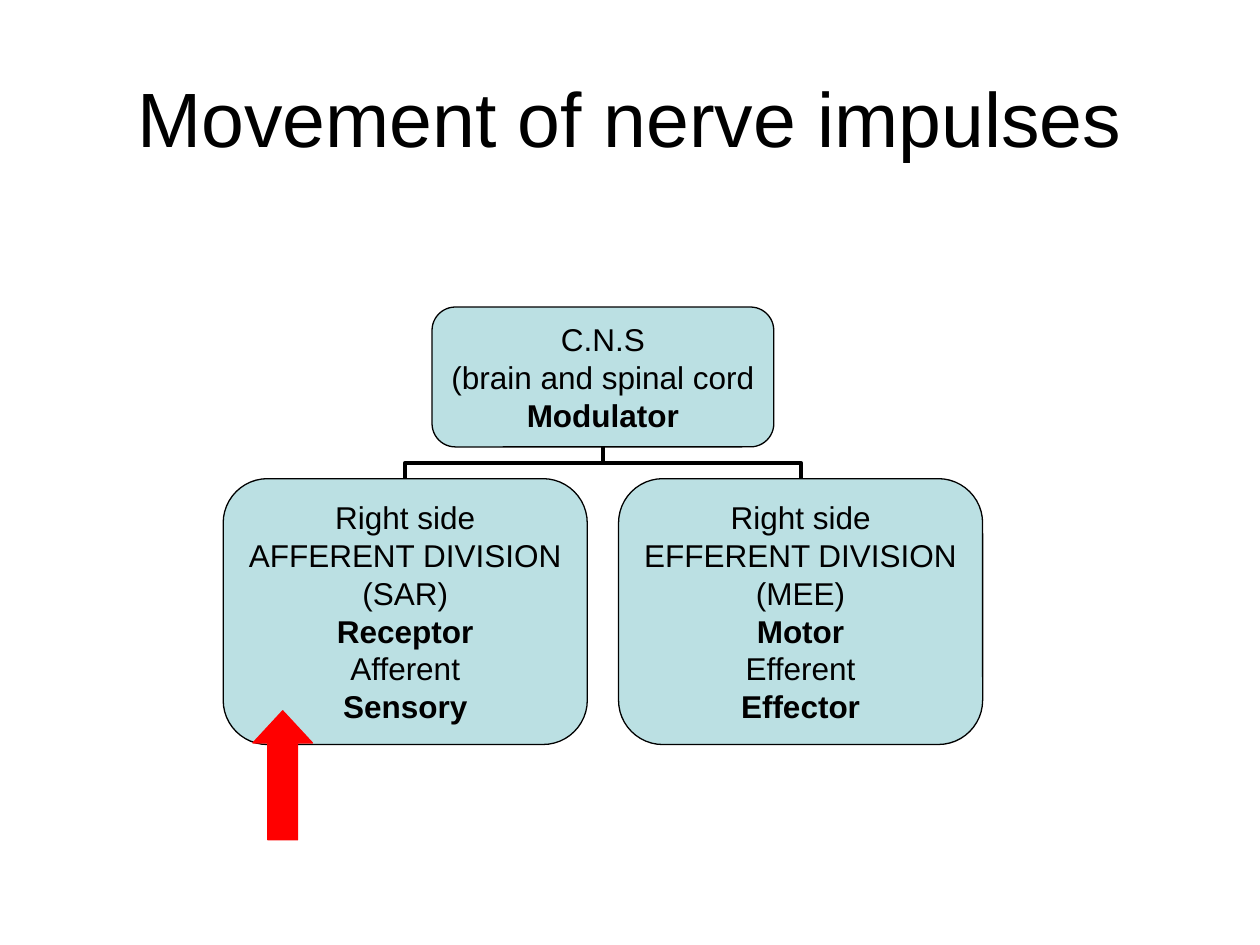
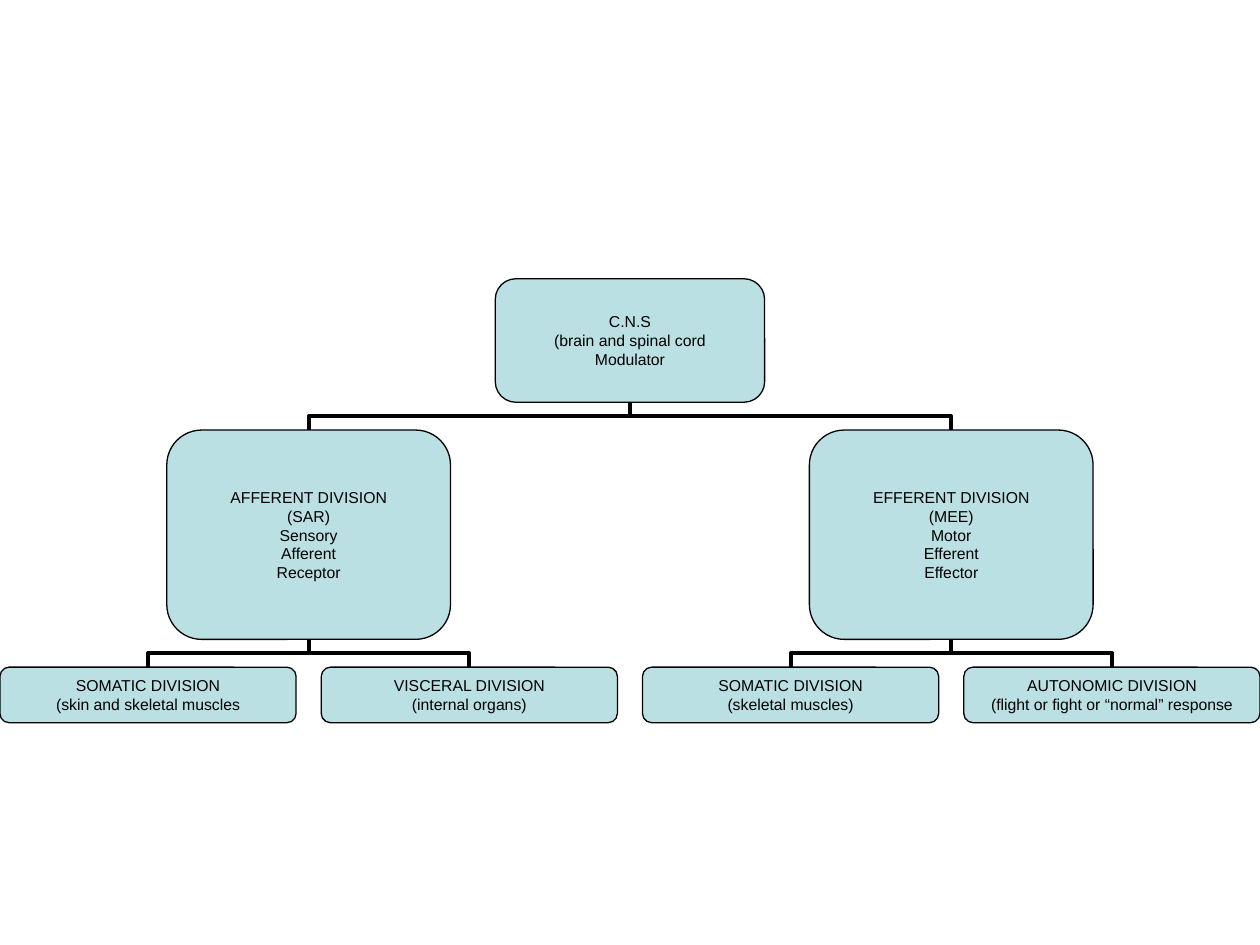
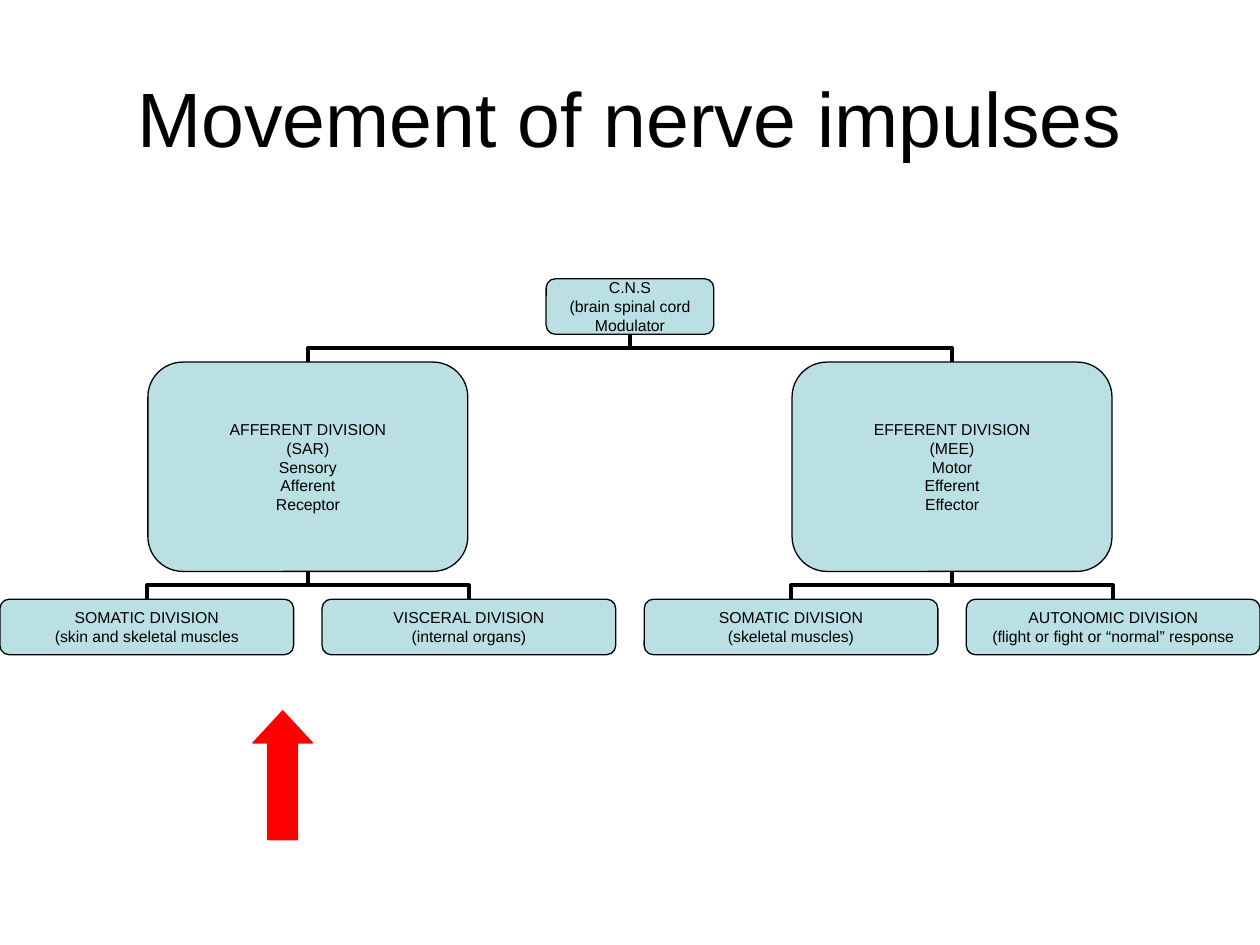
"""Build three slides that chart how nerve impulses move."""
from lxml import etree
from pptx import Presentation
from pptx import util as u
from pptx.dml.color import RGBColor
from pptx.enum import shapes, text
from pptx.oxml.ns import qn

HUES = {"ink": "000000", "box": "BBE0E3", "arrow": "FF0000"}
FONT = "Arial"
WIDE = 25.4


def hue(name):
    return RGBColor.from_string(HUES[name])


def write(shape, lines, size, bold=()):
    frame = shape.text_frame
    frame.vertical_anchor = text.MSO_ANCHOR.MIDDLE
    for n, line in enumerate(lines):
        para = frame.add_paragraph() if n else frame.paragraphs[0]
        para.text = line
        para.alignment = text.PP_ALIGN.CENTER
        para.font.name = FONT
        para.font.size = u.Pt(size)
        para.font.bold = line in bold
        para.font.color.rgb = hue("ink")
    return frame


sides = [
    ["AFFERENT DIVISION", "(SAR)", "Sensory", "Afferent", "Receptor"],
    ["EFFERENT DIVISION", "(MEE)", "Motor", "Efferent", "Effector"],
]
leaves = [
    ["SOMATIC DIVISION", "(skin and skeletal muscles"],
    ["VISCERAL DIVISION", "(internal organs)"],
    ["SOMATIC DIVISION", "(skeletal muscles)"],
    ["AUTONOMIC DIVISION", "(flight or fight or “normal” response"],
]
brain = ["C.N.S", "(brain and spinal cord", "Modulator"]

pages = [
    {
        "title": True, "size": 18, "inset": (0.25, 0.13), "top": 6.19, "gap": 0.64,
        "left": 4.5, "right": 19.81,
        "bold": ("Modulator", "Receptor", "Sensory", "Motor", "Effector"),
        "rows": [
            (6.89, 2.82, [brain]),
            (7.34, 5.36, [
                ["Right side", "AFFERENT DIVISION", "(SAR)", "Receptor", "Afferent", "Sensory"],
                ["Right side", "EFFERENT DIVISION", "(MEE)", "Motor", "Efferent", "Effector"],
            ]),
        ],
    },
    {
        "title": False, "size": 9, "inset": (0.13, 0.06), "top": 5.62, "gap": 0.56,
        "left": 0, "right": WIDE, "bold": (),
        "rows": [(5.43, 2.49, [brain]), (5.72, 4.22, sides), (5.97, 1.12, leaves)],
    },
    {
        "title": True, "size": 9, "inset": (0.13, 0.06), "top": 5.62, "gap": 0.56,
        "left": 0, "right": WIDE, "bold": (),
        "rows": [
            (3.38, 1.12, [["C.N.S", "(brain spinal cord", "Modulator"]]),
            (6.45, 4.22, sides),
            (5.92, 1.12, leaves),
        ],
    },
]

deck = Presentation()
deck.slide_width = u.Cm(WIDE)
deck.slide_height = u.Cm(19.05)

for page in pages:
    slide = deck.slides.add_slide(deck.slide_layouts[6])
    if page["title"]:
        head = slide.shapes.add_textbox(u.Cm(1.27), u.Cm(0.76), u.Cm(22.86), u.Cm(3.18))
        write(head, ["Movement of nerve impulses"], 44).word_wrap = True

    rows = page["rows"]
    wide, _, cells = rows[-1]
    step = (page["right"] - page["left"] - wide) / (len(cells) - 1)
    mids = [[page["left"] + wide / 2 + n * step for n in range(len(cells))]]
    while len(mids[0]) > 1:
        low = mids[0]
        mids.insert(0, [(a + b) / 2 for a, b in zip(low[::2], low[1::2])])
    tops = [page["top"]]
    for _, high, _ in rows[:-1]:
        tops.append(tops[-1] + high + page["gap"])

    drop = page["gap"] / 2
    for level in range(1, len(rows)):
        y = tops[level] - drop
        for n, kid in enumerate(mids[level]):
            root = mids[level - 1][n // 2]
            x, half = (root + kid) / 2, abs(kid - root) / 2
            turn = 1 if kid > root else -1
            link = slide.shapes.add_connector(
                shapes.MSO_CONNECTOR.ELBOW,
                u.Cm(x - turn * drop), u.Cm(y + half),
                u.Cm(x + turn * drop), u.Cm(y - half))
            link.line.color.rgb = hue("ink")
            link.line.width = u.Pt(2.25)
            props = link._element.spPr
            props.find(qn("a:xfrm")).set("rot", str((180 + turn * 90) * 60000))
            etree.SubElement(props, qn("a:effectLst"))

    for (wide, high, cells), top, spots in zip(rows, tops, mids):
        for lines, mid in zip(cells, spots):
            box = slide.shapes.add_shape(
                shapes.MSO_SHAPE.ROUNDED_RECTANGLE,
                u.Cm(mid - wide / 2), u.Cm(top), u.Cm(wide), u.Cm(high))
            box.shadow.inherit = False
            box.fill.solid()
            box.fill.fore_color.rgb = hue("box")
            box.line.color.rgb = hue("ink")
            box.line.width = u.Pt(0.75)
            frame = write(box, lines, page["size"], page["bold"])
            frame.word_wrap = False
            frame.margin_left = frame.margin_right = u.Cm(page["inset"][0])
            frame.margin_top = frame.margin_bottom = u.Cm(page["inset"][1])

    if page["title"]:
        arrow = slide.shapes.add_shape(
            shapes.MSO_SHAPE.UP_ARROW, u.Cm(5.1), u.Cm(14.33), u.Cm(1.2), u.Cm(2.6))
        arrow.adjustments[1] = 0.54
        arrow.shadow.inherit = False
        arrow.fill.solid()
        arrow.fill.fore_color.rgb = hue("arrow")
        arrow.line.color.rgb = hue("arrow")
        arrow.line.width = u.Pt(0.75)

deck.save("out.pptx")
